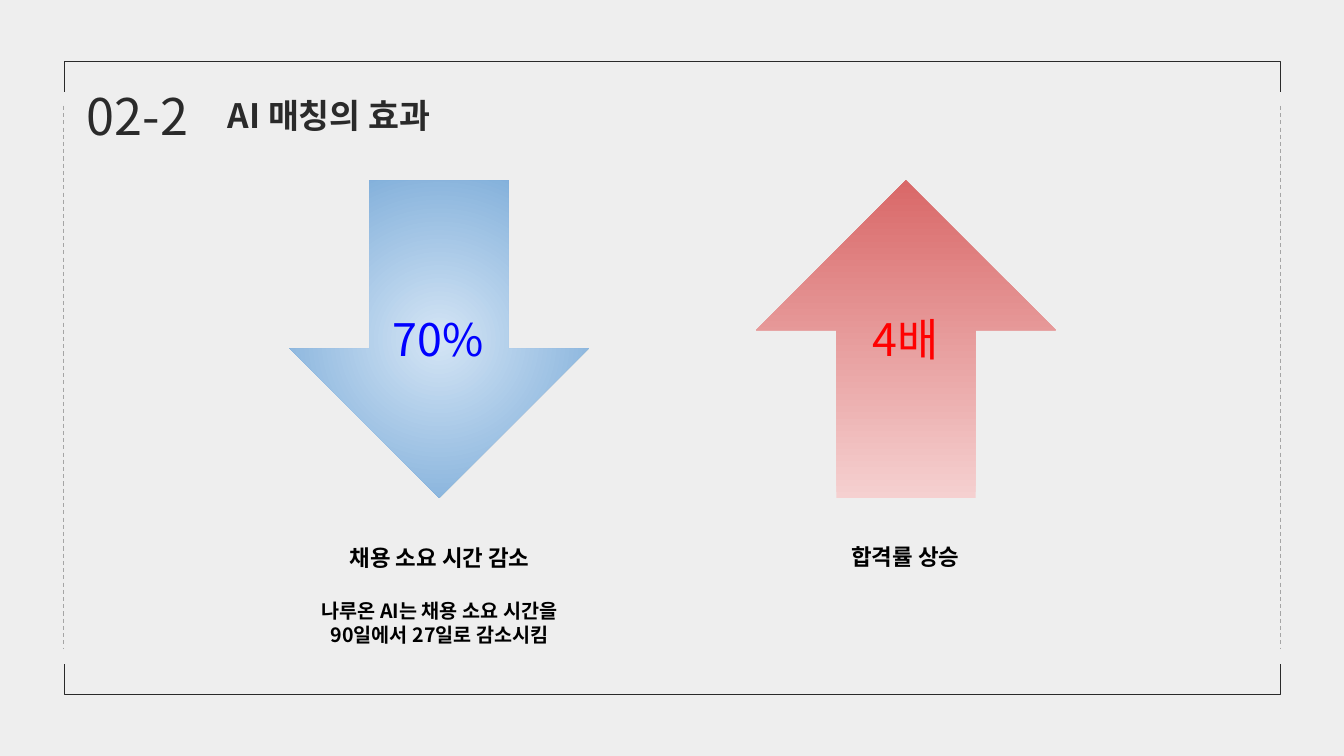
from dataclasses import dataclass

from lxml import etree
from pptx import Presentation
from pptx.dml.color import RGBColor
from pptx.enum.dml import MSO_LINE
from pptx.enum.shapes import MSO_CONNECTOR, MSO_SHAPE
from pptx.enum.text import MSO_AUTO_SIZE, PP_ALIGN
from pptx.oxml.ns import qn
from pptx.util import Inches, Pt

DOWN = MSO_SHAPE.DOWN_ARROW
BRACKET = MSO_SHAPE.RIGHT_BRACKET
STRAIGHT = MSO_CONNECTOR.STRAIGHT
DASH = MSO_LINE.DASH
FIT = MSO_AUTO_SIZE.SHAPE_TO_FIT_TEXT
LEFT = PP_ALIGN.LEFT
CENTER = PP_ALIGN.CENTER

PAPER = RGBColor(0xEE, 0xEE, 0xEE)
INK = RGBColor(0x2A, 0x2A, 0x2A)
GREY = RGBColor(0xA5, 0xA5, 0xA5)
BLACK = RGBColor(0, 0, 0)
BLUE = RGBColor(0, 0, 0xFF)
RED = RGBColor(0xFF, 0, 0)
SKY = RGBColor(0xD4, 0xE5, 0xF5)
STEEL = RGBColor(0x70, 0xA4, 0xD5)
PINK = RGBColor(0xF5, 0xD0, 0xD0)
ROSE = RGBColor(0xD9, 0x68, 0x68)

FONT = "Noto Sans CJK KR"
TOP = 1.79


@dataclass(frozen=True)
class Line:
    text: str
    size: int
    color: RGBColor = BLACK
    bold: bool = False
    gap: int = 0


@dataclass(frozen=True)
class Label:
    left: float
    top: float
    width: float
    height: float
    lines: tuple[Line, ...]
    align: PP_ALIGN = CENTER
    inset: tuple[float, float] = (0.1, 0.1)


@dataclass(frozen=True)
class Arrow:
    left: float
    turn: int
    start: RGBColor
    end: RGBColor
    round: bool
    value: Line


@dataclass(frozen=True)
class Edge:
    top: float
    flip: bool


ARROWS = (
    Arrow(2.87, 0, SKY, STEEL, True, Line("70%", 32, BLUE)),
    Arrow(7.5, 180, PINK, ROSE, False, Line("4배", 32, RED)),
)
EDGES = (Edge(0.71, True), Edge(-5.27, False))
SIDES = (0.63, 12.7)
LABELS = (
    Label(2.91, 5.3, 2.9, 1.25, (
        Line("채용 소요 시간 감소", 16, bold=True),
        Line("나루온 AI는 채용 소요 시간을", 14, bold=True, gap=20),
        Line("90일에서 27일로 감소시킴", 14, bold=True),
    )),
    Label(7.53, 5.29, 2.9, 0.47, (Line("합격률 상승", 16, bold=True),)),
    Label(0.8, 0.82, 1.39, 0.65, (Line("02-2", 36, INK),), LEFT, (0.06, 0.02)),
    Label(2.2, 0.92, 9.6, 0.44, (Line("AI 매칭의 효과", 24, INK, True),), LEFT, (0.06, 0.02)),
)


def add_label(shapes, label: Label) -> None:
    box = shapes.add_textbox(
        Inches(label.left), Inches(label.top), Inches(label.width), Inches(label.height)
    )
    frame = box.text_frame
    frame.word_wrap = True
    frame.auto_size = FIT
    side, edge = label.inset
    frame.margin_left = frame.margin_right = Inches(side)
    frame.margin_top = frame.margin_bottom = Inches(edge)
    for i, line in enumerate(label.lines):
        para = frame.add_paragraph() if i else frame.paragraphs[0]
        para.text = line.text
        para.alignment = label.align
        if line.gap:
            para.space_before = Pt(line.gap)
        font = para.font
        font.name = FONT
        font.size = Pt(line.size)
        font.bold = line.bold
        font.color.rgb = line.color
        base = para._p.pPr.find(qn("a:defRPr"))
        etree.SubElement(base, qn("a:ea"), typeface=FONT)


def add_edge(shapes, edge: Edge) -> None:
    shape = shapes.add_shape(
        BRACKET, Inches(6.52), Inches(edge.top), Inches(0.3), Inches(12.06)
    )
    shape.shadow.inherit = False
    shape.adjustments[0] = 0
    shape.rotation = 270
    shape.fill.background()
    shape.line.color.rgb = INK
    shape.line.width = Pt(0.75)
    if edge.flip:
        shape.element.spPr.find(qn("a:xfrm")).set("flipH", "1")


def add_side(shapes, x: float) -> None:
    side = shapes.add_connector(STRAIGHT, Inches(x), Inches(1.05), Inches(x), Inches(6.44))
    side.line.color.rgb = GREY
    side.line.width = Pt(0.75)
    side.line.dash_style = DASH
    etree.SubElement(side.element.spPr, qn("a:effectLst"))


def add_arrow(shapes, arrow: Arrow) -> None:
    group = shapes.add_group_shape()
    shape = group.shapes.add_shape(
        DOWN, Inches(arrow.left), Inches(TOP), Inches(2.97), Inches(3.15)
    )
    shape.shadow.inherit = False
    shape.adjustments[0] = 0.465
    shape.adjustments[1] = 0.5
    shape.rotation = arrow.turn
    shape.line.fill.background()
    fill = shape.fill
    fill.gradient()
    fill.gradient_angle = 270
    for stop, color in zip(fill.gradient_stops, (arrow.start, arrow.end)):
        stop.color.rgb = color
    if arrow.round:
        grad = shape.element.spPr.find(qn("a:gradFill"))
        ring = etree.Element(qn("a:path"), path="circle")
        etree.SubElement(ring, qn("a:fillToRect"), dict.fromkeys("ltrb", "50000"))
        grad.replace(grad.find(qn("a:lin")), ring)
    add_label(group.shapes, Label(arrow.left + 0.46, TOP + 1.2, 2.04, 0.74, (arrow.value,)))


def main() -> None:
    deck = Presentation()
    deck.slide_width = Inches(13.33)
    deck.slide_height = Inches(7.5)
    slide = deck.slides.add_slide(deck.slide_layouts[6])
    back = slide.background.fill
    back.solid()
    back.fore_color.rgb = PAPER
    shapes = slide.shapes
    low, high = EDGES
    add_edge(shapes, low)
    for x in SIDES:
        add_side(shapes, x)
    for arrow in ARROWS:
        add_arrow(shapes, arrow)
    for label in LABELS:
        add_label(shapes, label)
    add_edge(shapes, high)
    deck.save("out.pptx")


if __name__ == "__main__":
    main()
